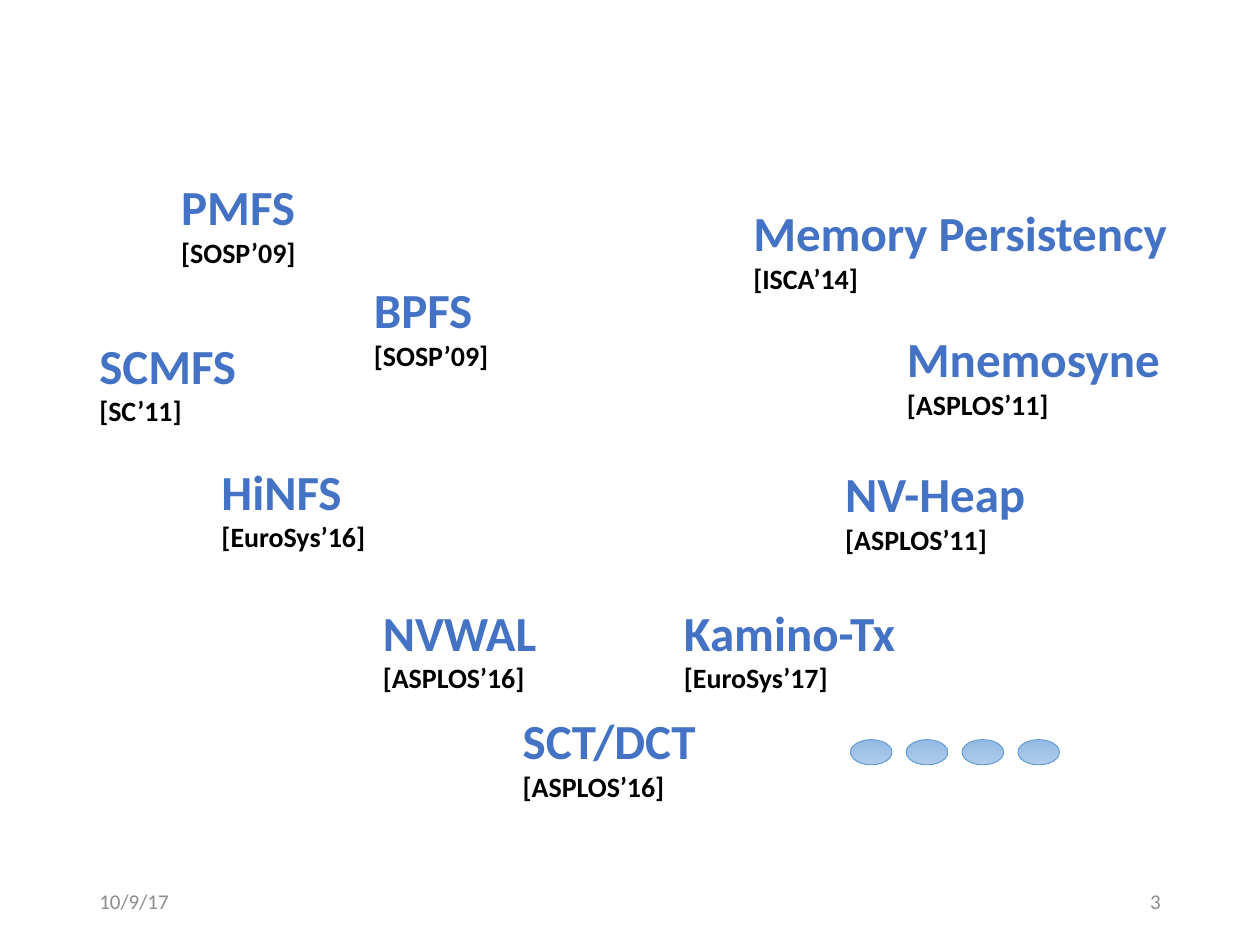
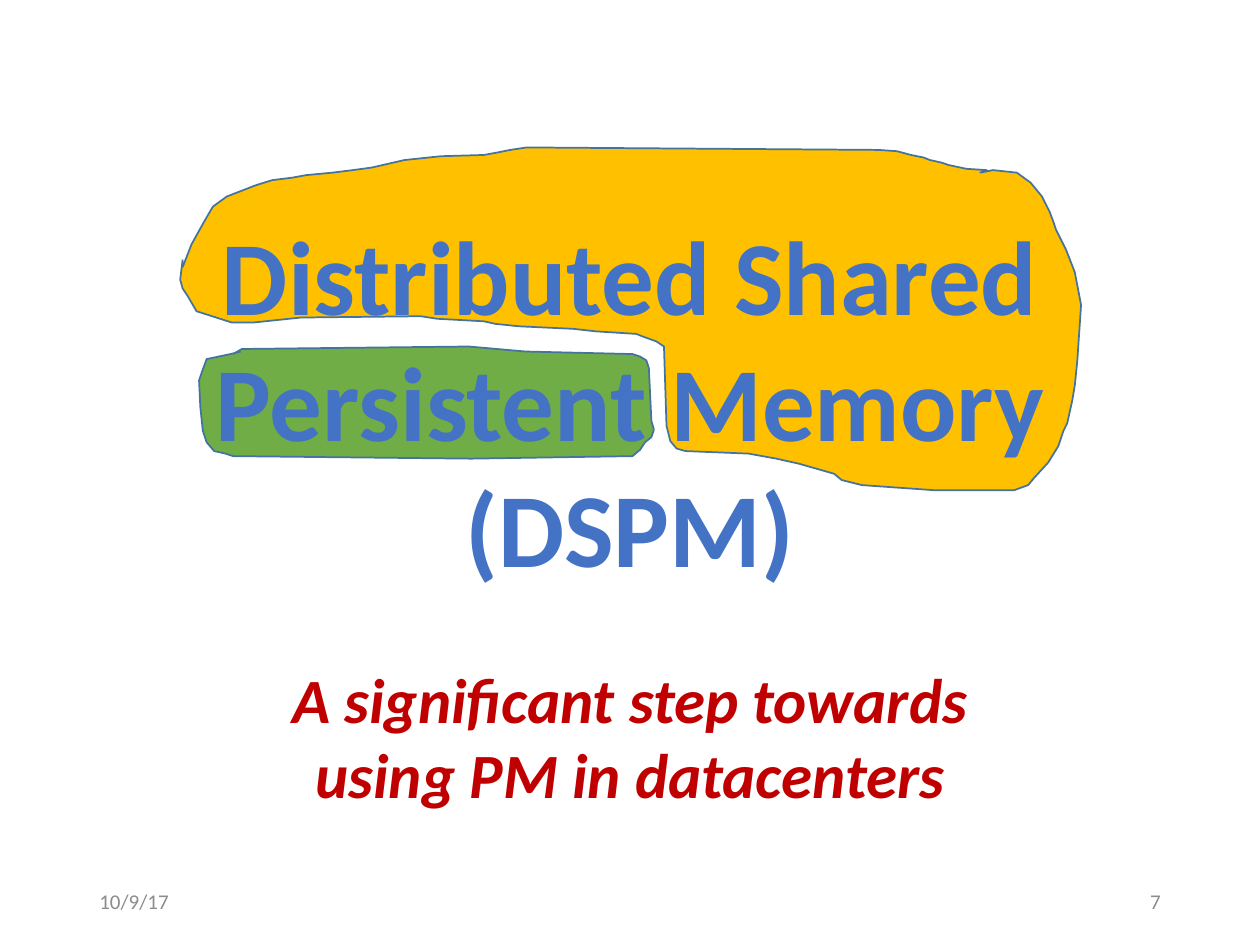
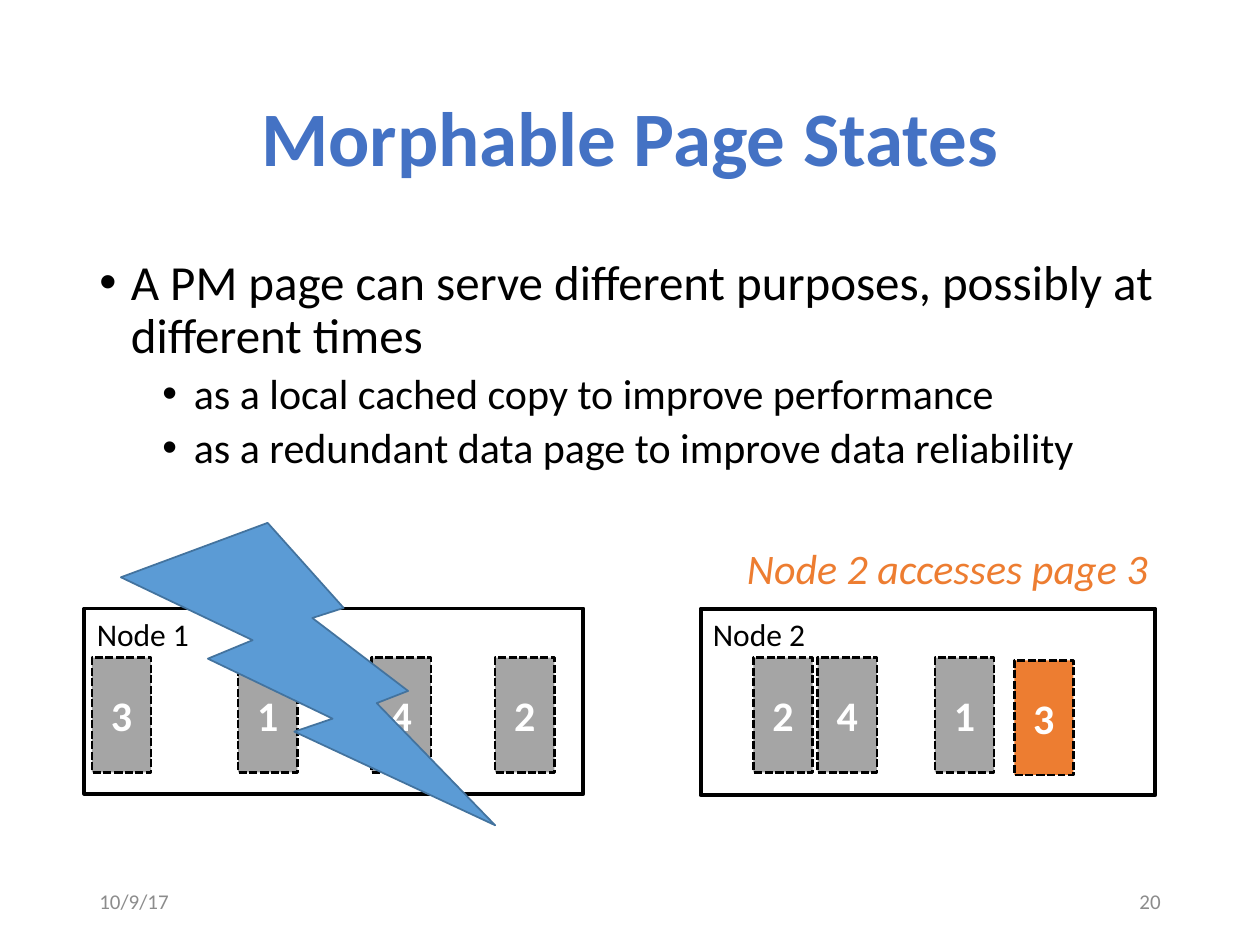
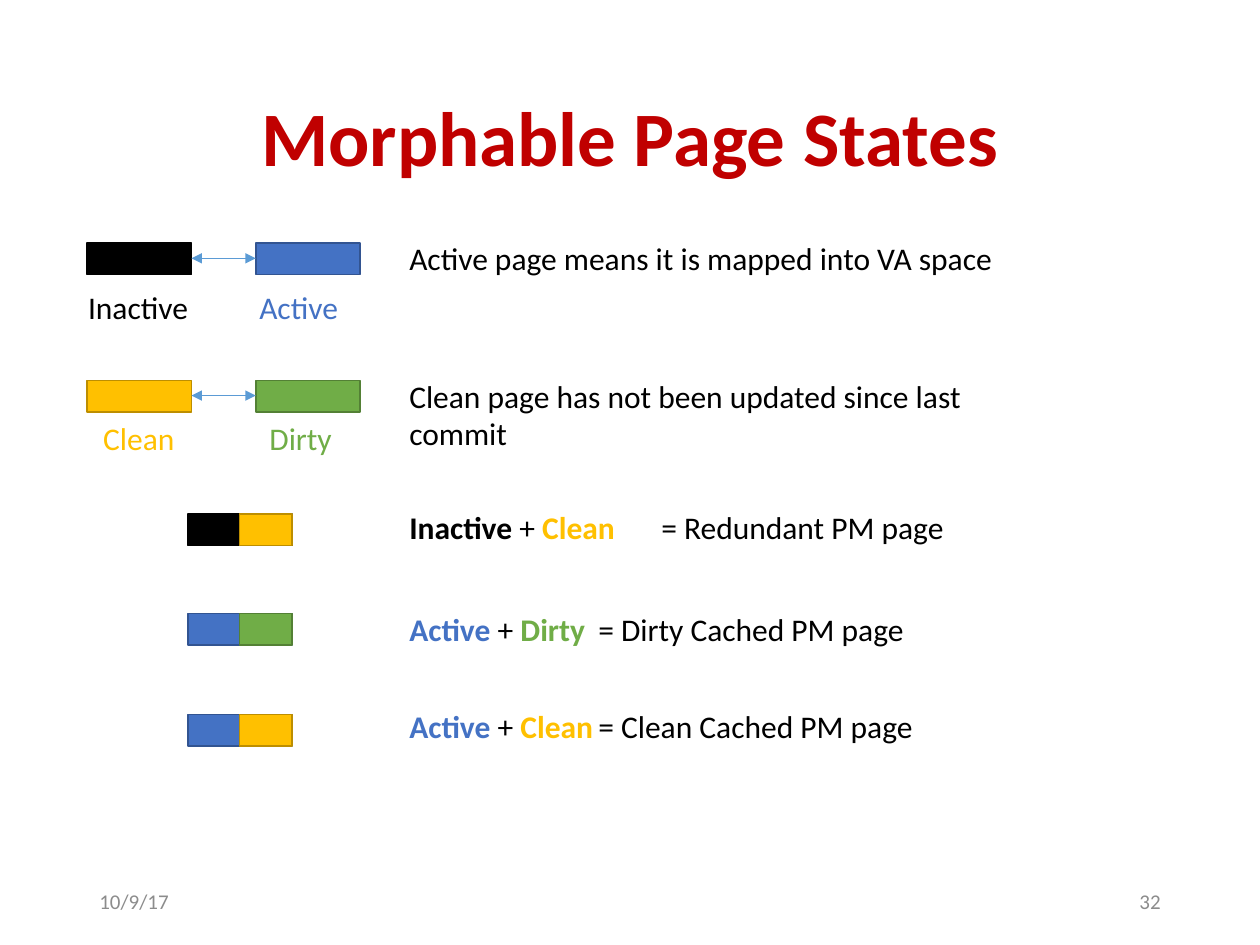
from lxml.etree import SubElement
from pptx import Presentation
from pptx.dml.color import RGBColor
from pptx.enum.dml import MSO_LINE
from pptx.enum.shapes import MSO_CONNECTOR, MSO_SHAPE
from pptx.enum.text import MSO_ANCHOR, PP_ALIGN
from pptx.oxml.ns import qn
from pptx.util import Inches, Pt

# Shared look; all lengths are cells of a grid with 100 columns and 75 rows
CELL = Inches(0.1)
FONT = "Calibri"
HEX = {
    "black": "000000", "white": "FFFFFF", "blue": "4472C4", "navy": "325491",
    "gold": "FFC000", "ochre": "BD8E00", "green": "70AD47", "moss": "538035",
    "red": "C00000", "orange": "ED7D31", "gray": "A5A5A5", "foot": "8C8C8C",
    "sky": "5B9BD5", "steel": "43739E", "dusk": "93B9E4", "haze": "B1CBE9",
}
EDGE = {"black": "black", "blue": "navy", "gold": "ochre", "green": "moss"}
LEFT, WIDE = 6.9, 86.2
CENTER, RIGHT = PP_ALIGN.CENTER, PP_ALIGN.RIGHT
DATE = "10/9/17"

# Outlines in tenths of a cell
GOLD_BLOB = [
    (145, 212), (152, 194), (162, 176), (169, 164), (180, 156), (203, 147),
    (216, 143), (232, 141), (243, 139), (264, 137), (280, 135), (295, 133),
    (308, 130), (321, 127), (350, 124), (384, 123), (395, 121), (405, 119),
    (418, 117), (697, 119), (712, 120), (723, 123), (733, 125), (738, 127),
    (747, 129), (753, 131), (767, 134), (783, 135), (778, 137), (788, 135),
    (807, 137), (818, 145), (827, 156), (833, 168), (836, 176), (838, 182),
    (846, 198), (853, 216), (858, 242), (855, 287), (853, 306), (851, 318),
    (847, 336), (844, 342), (840, 354), (832, 367), (821, 379), (816, 385),
    (805, 389), (741, 389), (684, 385), (668, 381), (662, 376), (655, 374),
    (634, 368), (616, 364), (594, 360), (544, 358), (537, 356), (532, 350),
    (529, 338), (527, 275), (521, 271), (510, 267), (505, 265), (473, 263),
    (455, 261), (412, 259), (393, 257), (384, 255), (347, 253), (334, 251),
    (239, 252), (201, 256), (184, 256), (156, 247), (149, 235), (145, 229),
    (143, 222), (145, 206),
]
GREEN_BLOB = [
    (191, 279), (183, 281), (164, 285), (160, 296), (158, 302), (159, 323),
    (161, 342), (164, 351), (170, 358), (179, 360), (185, 362), (374, 364),
    (502, 362), (508, 357), (512, 351), (517, 347), (519, 341), (517, 334),
    (515, 292), (513, 286), (508, 283), (502, 281), (417, 279), (372, 275),
    (192, 277), (185, 281),
]


def rgb(name):
    return RGBColor.from_string(HEX[name])


def cells(*nums):
    return [round(num * CELL) for num in nums]


def style(item, size, color, bold=False, slant=False):
    font = item.font
    font.name, font.size = FONT, Pt(size)
    font.bold, font.italic = bold, slant
    font.color.rgb = rgb(color)


def text(slide, box, words, size, color="black", bold=False, slant=False,
         align=None, anchor=MSO_ANCHOR.TOP, wrap=False):
    frame = slide.shapes.add_textbox(*cells(*box)).text_frame
    frame.word_wrap, frame.vertical_anchor = wrap, anchor
    frame.text = words
    for para in frame.paragraphs:
        para.alignment = align
        for run in para.runs:
            style(run, size, color, bold, slant)
    return frame


def paint(item, fill, edge, width):
    item.shadow.inherit = False
    if fill:
        item.fill.solid()
        item.fill.fore_color.rgb = rgb(fill)
    else:
        item.fill.background()
    item.line.color.rgb = rgb(edge)
    item.line.width = Pt(width)


def shape(slide, kind, box, fill, edge, width=1):
    item = slide.shapes.add_shape(kind, *cells(*box))
    paint(item, fill, edge, width)
    return item


def block(slide, box, fill):
    shape(slide, MSO_SHAPE.RECTANGLE, box, fill, EDGE[fill])


def blob(slide, points, fill):
    pen = slide.shapes.build_freeform(*points[0], scale=CELL / 10)
    pen.add_line_segments(points[1:], close=False)
    paint(pen.convert_to_shape(), fill, "steel", 1)


def arrow(slide, left, right, y):
    item = slide.shapes.add_connector(
        MSO_CONNECTOR.STRAIGHT, *cells(left, y, right, y))
    item.line.color.rgb = rgb("sky")
    item.line.width = Pt(0.5)
    line = item.line._get_or_add_ln()
    for end in ("headEnd", "tailEnd"):
        SubElement(line, qn(f"a:{end}"), type="triangle")
    SubElement(item._element.spPr, qn("a:effectLst"))


def title(slide, words, color):
    frame = text(slide, (LEFT, 4, WIDE, 14.5), words, 44, color, True,
                 align=CENTER, anchor=MSO_ANCHOR.MIDDLE, wrap=True)
    frame.paragraphs[0].line_spacing = 0.9


def new_slide(deck, number):
    slide = deck.slides.add_slide(deck.slide_layouts[6])
    for left, words, align in ((LEFT, DATE, None), (70.6, str(number), RIGHT)):
        text(slide, (left, 69.5, 22.5, 4), words, 12, "foot", align=align,
             anchor=MSO_ANCHOR.MIDDLE, wrap=True)
    return slide


def paper(slide, left, top, width, name, venue):
    frame = text(slide, (left, top, width, 8.4), f"{name}\n{venue}",
                 28, "blue", True)
    style(frame.paragraphs[1].runs[0], 16, "black", True)


def bullets(slide, box, items):
    frame = text(slide, box, "\n".join(words for _, words in items), 28,
                 wrap=True)
    for spot, (para, (level, _)) in enumerate(zip(frame.paragraphs, items)):
        props = para._p.get_or_add_pPr()
        props.set("marL", str(Inches(0.25 + 0.5 * level)))
        props.set("indent", str(Inches(-0.25)))
        SubElement(props, qn("a:buFont"), typeface="Arial")
        SubElement(props, qn("a:buChar"), char="•")
        para.level, para.line_spacing = level, 0.9
        if spot:
            para.space_before = Pt(10 - 5 * level)
        style(para.runs[0], 28 - 4 * level, "black")


def node(slide, box, name):
    item = shape(slide, MSO_SHAPE.RECTANGLE, box, None, "black", 2.25)
    frame = item.text_frame
    frame.text, frame.vertical_anchor = name, MSO_ANCHOR.TOP
    frame.paragraphs[0].alignment = PP_ALIGN.LEFT
    style(frame.paragraphs[0].runs[0], 18, "black")


def page(slide, left, label, top=52.2, fill="gray"):
    item = shape(slide, MSO_SHAPE.RECTANGLE, (left, top, 4.7, 9.1),
                 fill, "black", 1.5)
    item.line.dash_style = MSO_LINE.SQUARE_DOT
    frame = item.text_frame
    frame.text, frame.vertical_anchor = label, MSO_ANCHOR.MIDDLE
    frame.paragraphs[0].alignment = CENTER
    style(frame.paragraphs[0].runs[0], 24, "white", True)


def state_pair(slide, top, gap, names, words):
    for left, (name, color, start, width) in zip((6.9, 20.3), names):
        block(slide, (left, top, 8.3, 2.5), color)
        text(slide, (start, top + gap, width, 4), name, 18, color)
    arrow(slide, 15.2, 20.3, top + 1.2)
    text(slide, (31.5, top - 0.8, 52, 4), words, 18)


def state_sum(slide, top, base, first, extra, second, result, start, width):
    block(slide, (14.9, top, 8.3, 2.5), first)
    block(slide, (19, top, 4.2, 2.5), second)
    frame = text(slide, (31.5, start, width, 4), "", 18)
    parts = ((f"{base} ", first, True), ("+ ", "black", False),
             (f"{extra}\t", second, True), (f"= {result}", "black", False))
    for words, color, bold in parts:
        run = frame.paragraphs[0].add_run()
        run.text = words
        style(run, 18, color, bold)


def works(deck):
    slide = new_slide(deck, 3)
    for item in (
        (66.1, 36.3, 16.5, "NV-Heap", "[ASPLOS’11]"),
        (71, 25.6, 22.3, "Mnemosyne", "[ASPLOS’11]"),
        (28.7, 21.7, 11.3, "BPFS", "[SOSP’09]"),
        (13.4, 13.5, 11.3, "PMFS", "[SOSP’09]"),
        (6.9, 26.1, 13, "SCMFS", "[SC’11]"),
        (16.6, 36.1, 13.6, "HiNFS", "[EuroSys’16]"),
        (29.4, 47.3, 14.4, "NVWAL", "[ASPLOS’16]"),
        (58.8, 15.6, 35.2, "Memory Persistency", "[ISCA’14]"),
        (40.5, 55.9, 15.9, "SCT/DCT", "[ASPLOS’16]"),
        (53.3, 47.3, 19.3, "Kamino-Tx", "[EuroSys’17]"),
    ):
        paper(slide, *item)
    # Trailing dots
    for spot in range(4):
        dot = shape(slide, MSO_SHAPE.OVAL,
                    (67.5 + 4.43 * spot, 58.7, 3.3, 2), "haze", "sky", 0.5)
        dot.fill.gradient()
        dot.fill.gradient_angle = 270
        for stop, color in zip(dot.fill.gradient_stops, ("dusk", "haze")):
            stop.color.rgb = rgb(color)


def dspm(deck):
    slide = new_slide(deck, 7)
    blob(slide, GREEN_BLOB, "green")
    blob(slide, GOLD_BLOB, "gold")
    text(slide, (LEFT, 16.2, WIDE, 31.3),
         "Distributed Shared Persistent Memory (DSPM)", 60, "blue", True,
         align=CENTER, wrap=True)
    text(slide, (LEFT, 51.9, WIDE, 13.1),
         "A significant step towards\nusing PM in datacenters", 36, "red",
         True, True, CENTER, wrap=True)


def purposes(deck):
    slide = new_slide(deck, 20)
    title(slide, "Morphable Page States", "blue")
    bullets(slide, (LEFT, 20, WIDE, 47.6), (
        (0, "A PM page can serve different purposes, possibly at "
            "different times"),
        (1, "as a local cached copy to improve performance"),
        (1, "as a redundant data page to improve data reliability"),
    ))
    # Nodes and their pages
    node(slide, (55.6, 48.3, 36.1, 14.8), "Node 2")
    node(slide, (6.7, 48.3, 39.6, 14.7), "Node 1")
    for left, label in ((7.3, "3"), (18.9, "1"), (29.5, "4"), (39.3, "2"),
                        (59.8, "2"), (64.9, "4"), (74.2, "1")):
        page(slide, left, label)
    # Failure and the new page
    shape(slide, MSO_SHAPE.LIGHTNING_BOLT, (9.6, 41.5, 29.7, 24),
          "sky", "steel")
    page(slide, 80.5, "3", 52.4, "orange")
    text(slide, (58.3, 42.6, 34.2, 5), "Node 2 accesses page 3", 24,
         "orange", slant=True)


def states(deck):
    slide = new_slide(deck, 32)
    title(slide, "Morphable Page States", "red")
    state_pair(slide, 19.3, 3.1,
               (("Inactive", "black", 6, 10.1), ("Active", "blue", 19.6, 8.3)),
               "Active page means it is mapped into VA space")
    state_pair(slide, 30.2, 2.6,
               (("Clean", "gold", 7.2, 7.8), ("Dirty", "green", 20.4, 7)),
               "Clean page has not been updated since last commit")
    for row in (
        (40.8, "Inactive", "black", "Clean", "gold", "Redundant PM page",
         39.8, 44.9),
        (48.7, "Active", "blue", "Dirty", "green", "Dirty Cached PM page",
         47.9, 46.8),
        (56.7, "Active", "blue", "Clean", "gold", "Clean Cached PM page",
         55.6, 47.5),
    ):
        state_sum(slide, *row)


def main():
    deck = Presentation()
    deck.slide_width, deck.slide_height = cells(100, 75)
    for build in (works, dspm, purposes, states):
        build(deck)
    deck.save("out.pptx")


if __name__ == "__main__":
    main()
